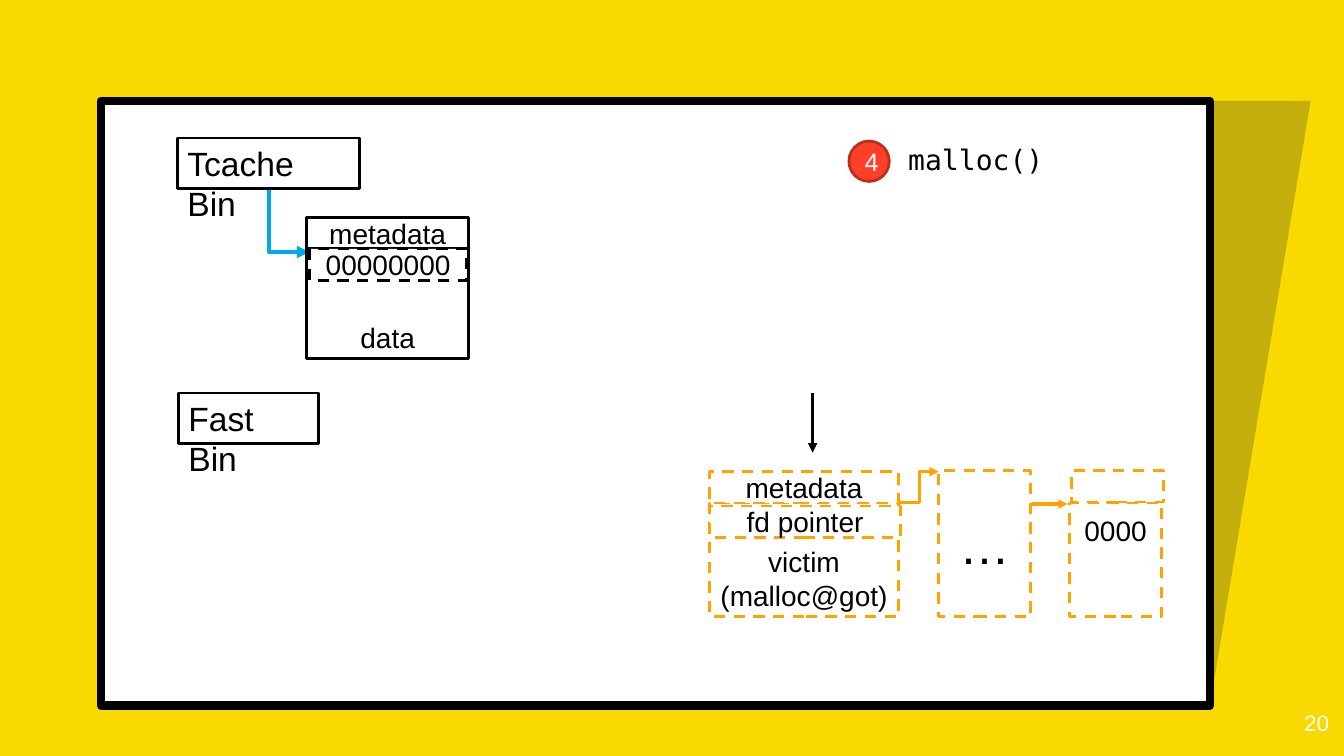
import pptx
import pptx.util
import pptx.dml.color
import pptx.enum.dml
import pptx.enum.shapes
import pptx.enum.text
import pptx.oxml
import pptx.oxml.ns

Inches, Pt = pptx.util.Inches, pptx.util.Pt
SHAPE = pptx.enum.shapes.MSO_SHAPE
CONN = pptx.enum.shapes.MSO_CONNECTOR
ANCHOR = pptx.enum.text.MSO_ANCHOR
ALIGN = pptx.enum.text.PP_ALIGN

COLORS = {"yellow": "FAD900", "navy": "001936", "white": "FFFFFF", "black": "000000",
          "blue": "00A7EB", "orange": "FFA300", "red": "FF4026", "dark red": "BD2F1C"}
SANS, MONO = "Arial", "DejaVu Sans Mono"

PANEL = [(0.74, 0.78), (12.23, 1.16), (12.07, 6.59), (1.08, 6.88)]
SHADOW_SHIFT = 0.33
ROW = 0.31           # height of one chunk field
CHUNK_X, CHUNK_Y, CHUNK_W = 3.04, 2.16, 1.61
FAKE_X, FAKE_Y, FAKE_W = 7.04, 4.68, 1.87
MORE_X, LAST_X, SMALL_W = 9.31, 10.61, 0.91
FAKE_BOTTOM = 6.12
FIELD_Y = FAKE_Y + ROW

BINS = [("Tcache Bin", 1.76, 1.37, 1.81), ("Fast Bin", 1.77, 3.9, 1.39)]

# text, left, top, width, height, anchor, dashed
FREED_CHUNK = [
    ("data", CHUNK_X, CHUNK_Y + ROW, CHUNK_W, 1.09, ANCHOR.BOTTOM, False),
    ("metadata", CHUNK_X, CHUNK_Y, CHUNK_W, ROW, ANCHOR.MIDDLE, False),
    ("00000000", CHUNK_X + 0.03, CHUNK_Y + ROW, CHUNK_W - 0.05, ROW, ANCHOR.MIDDLE, True),
]
FAKE_CHUNK = [
    ("victim\n(malloc@got)", FAKE_X, FIELD_Y, FAKE_W, FAKE_BOTTOM - FIELD_Y, ANCHOR.BOTTOM, True),
    ("metadata", FAKE_X, FAKE_Y, FAKE_W, ROW, ANCHOR.MIDDLE, True),
    ("fd pointer", FAKE_X, FIELD_Y + 0.03, FAKE_W + 0.02, ROW, ANCHOR.MIDDLE, True),
]
LAST_CHUNK = [
    ("", LAST_X, FIELD_Y, SMALL_W, FAKE_BOTTOM - FIELD_Y, ANCHOR.MIDDLE, True),
    ("", LAST_X + 0.02, FAKE_Y - 0.01, SMALL_W, ROW, ANCHOR.MIDDLE, True),
]


def rgb(name):
    return pptx.dml.color.RGBColor.from_string(COLORS[name])


def write(sp, text, size, color="black", font=SANS, align=ALIGN.CENTER, anchor=ANCHOR.MIDDLE):
    tf = sp.text_frame
    tf.word_wrap = True
    tf.vertical_anchor = anchor
    tf.text = text
    for p in tf.paragraphs:
        p.alignment = align
        for r in p.runs:
            r.font.size, r.font.name = Pt(size), font
            r.font.color.rgb = rgb(color)


def paint(sp, fill="white", line=None, width=2, dashed=False):
    sp.shadow.inherit = False
    sp.fill.solid()
    sp.fill.fore_color.rgb = rgb(fill)
    if line is None:
        sp.line.fill.background()
        return
    sp.line.color.rgb = rgb(line)
    sp.line.width = Pt(width)
    if dashed:
        sp.line.dash_style = pptx.enum.dml.MSO_LINE.DASH


def add_box(s, left, top, width, height, kind=SHAPE.RECTANGLE, **style):
    sp = s.shapes.add_shape(kind, *map(Inches, (left, top, width, height)))
    paint(sp, **style)
    return sp


def add_text(s, left, top, width, height, text, size, **style):
    sp = s.shapes.add_textbox(*map(Inches, (left, top, width, height)))
    write(sp, text, size, **style)


def add_fields(s, fields, line):
    for text, left, top, width, height, anchor, dashed in fields:
        sp = add_box(s, left, top, width, height, line=line, dashed=dashed)
        if text:
            write(sp, text, 20, anchor=anchor)


def add_arrow(s, kind, start, end, color, width=2.25):
    cx = s.shapes.add_connector(kind, *map(Inches, start + end))
    cx.line.color.rgb = rgb(color)
    cx.line.width = Pt(width)
    ln = cx.line._get_or_add_ln()
    pptx.oxml.ns.qn("a:tailEnd")
    tail = pptx.oxml.parse_xml('<a:tailEnd %s type="triangle"/>' % pptx.oxml.ns.nsdecls("a"))
    ln.append(tail)
    cx._element.spPr.append(
        pptx.oxml.parse_xml("<a:effectLst %s/>" % pptx.oxml.ns.nsdecls("a")))
    return cx


def add_down_right_arrow(s, start, end, color, width):
    """One-bend arrow: down first, then right. Its frame is turned by 270 degrees."""
    (x1, y1), (x2, y2) = start, end
    mid_x, mid_y = (x1 + x2) / 2, (y1 + y2) / 2
    half_w, half_h = (y2 - y1) / 2, (x2 - x1) / 2
    cx = add_arrow(s, CONN.ELBOW, (mid_x + half_w, mid_y - half_h),
                   (mid_x - half_w, mid_y + half_h), color, width)
    spPr = cx._element.spPr
    spPr.find(pptx.oxml.ns.qn("a:xfrm")).set("rot", "16200000")
    spPr.find(pptx.oxml.ns.qn("a:prstGeom")).set("prst", "bentConnector2")


def add_panel(s, shift, **style):
    points = [(x + shift, y + shift) for x, y in PANEL]
    fb = s.shapes.build_freeform(*points[0], scale=Inches(1))
    fb.add_line_segments(points[1:], close=True)
    sp = fb.convert_to_shape()
    paint(sp, **style)
    return sp


def main():
    prs = pptx.Presentation()
    prs.slide_width, prs.slide_height = Inches(13.33), Inches(7.5)
    s = prs.slides.add_slide(prs.slide_layouts[6])
    s.background.fill.solid()
    s.background.fill.fore_color.rgb = rgb("yellow")

    shade = add_panel(s, SHADOW_SHIFT, fill="navy")
    shade_color = shade._element.spPr.find(".//" + pptx.oxml.ns.qn("a:srgbClr"))
    shade_color.append(
        pptx.oxml.parse_xml('<a:alpha %s val="22000"/>' % pptx.oxml.ns.nsdecls("a")))
    add_panel(s, 0, line="black", width=6)
    add_text(s, 12.48, 6.93, 0.8, 0.47, "20", 16, color="white", align=ALIGN.RIGHT)

    add_down_right_arrow(s, (2.67, 1.88), (3.07, 2.5), "blue", 3)
    for text, left, top, width in BINS:
        sp = add_box(s, left, top, width, 0.5, line="black")
        write(sp, text, 24, align=ALIGN.LEFT, anchor=ANCHOR.TOP)
    add_fields(s, FREED_CHUNK, "black")

    add_fields(s, FAKE_CHUNK[:2], "orange")
    add_arrow(s, CONN.STRAIGHT, (10.24, 5), (10.59, 5), "orange")
    add_arrow(s, CONN.ELBOW, (8.93, FIELD_Y), (MORE_X, FAKE_Y), "orange")
    more = add_box(s, MORE_X, FAKE_Y - 0.01, SMALL_W, 1.45, line="orange", dashed=True)
    write(more, "…", 36)
    add_fields(s, FAKE_CHUNK[2:], "orange")

    step = add_box(s, 8.42, 1.4, 0.4, 0.4, kind=SHAPE.OVAL, fill="red", line="dark red")
    write(step, "4", 18, color="white")
    call = add_box(s, 8.91, 1.32, 2.3, 0.53)
    write(call, "malloc()", 20, font=MONO, align=ALIGN.LEFT)
    add_arrow(s, CONN.STRAIGHT, (8.06, 3.9), (8.06, 4.49), "black")

    add_fields(s, LAST_CHUNK, "orange")
    add_text(s, LAST_X, 5, SMALL_W, 0.53, "0000", 20)
    prs.save("out.pptx")


if __name__ == "__main__":
    main()
